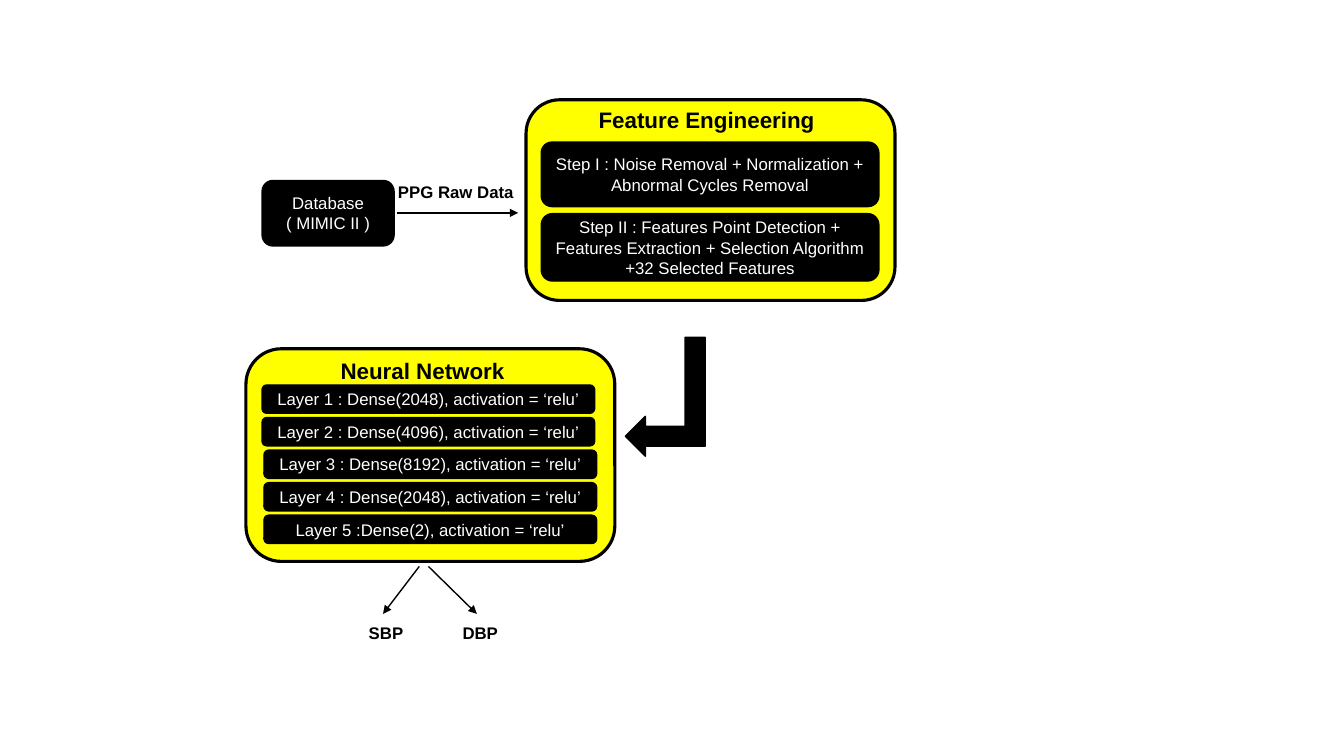
from dataclasses import dataclass

from lxml import etree
from pptx import Presentation
from pptx import util as u
from pptx.dml.color import RGBColor
from pptx.enum import shapes, text
from pptx.oxml.ns import qn

COLOURS = {"ink": "000000", "panel": "FFFF00", "paper": "FFFFFF"}
FONT = "Arial"


@dataclass
class Block:
    left: float
    top: float
    width: float
    height: float
    lines: tuple = ()
    fill: str = "ink"
    border: float = 1
    kind: shapes.MSO_SHAPE = shapes.MSO_SHAPE.ROUNDED_RECTANGLE


@dataclass
class Label:
    left: float
    top: float
    width: float
    height: float
    words: str
    size: float = 12


@dataclass
class Arrow:
    start: tuple
    end: tuple


def colour(name: str) -> RGBColor:
    return RGBColor.from_string(COLOURS[name])


def add_span(para, words: str, size: float, ink: str, bold: bool = False) -> None:
    span = para.add_run()
    span.text = words
    span.font.name = FONT
    span.font.size = u.Pt(size)
    span.font.bold = bold
    span.font.color.rgb = colour(ink)


def draw_block(page, block: Block):
    box = page.shapes.add_shape(block.kind, u.Pt(block.left), u.Pt(block.top),
                                u.Pt(block.width), u.Pt(block.height))
    box.shadow.inherit = False
    box.fill.solid()
    box.fill.fore_color.rgb = colour(block.fill)
    box.line.color.rgb = colour("ink")
    box.line.width = u.Pt(block.border)
    frame = box.text_frame
    frame.word_wrap = True
    frame.vertical_anchor = text.MSO_ANCHOR.MIDDLE
    for index, words in enumerate(block.lines):
        para = frame.add_paragraph() if index else frame.paragraphs[0]
        para.alignment = text.PP_ALIGN.CENTER
        add_span(para, words, 12, "paper")
    return box


def draw_label(page, label: Label) -> None:
    box = page.shapes.add_textbox(u.Pt(label.left), u.Pt(label.top),
                                  u.Pt(label.width), u.Pt(label.height))
    box.text_frame.word_wrap = True
    box.text_frame.auto_size = text.MSO_AUTO_SIZE.SHAPE_TO_FIT_TEXT
    add_span(box.text_frame.paragraphs[0], label.words, label.size, "ink", bold=True)


def draw_arrow(page, arrow: Arrow) -> None:
    points = [u.Pt(value) for value in arrow.start + arrow.end]
    line = page.shapes.add_connector(shapes.MSO_CONNECTOR.STRAIGHT, *points)
    line.line.color.rgb = colour("ink")
    line.line.width = u.Pt(1)
    etree.SubElement(line.line._get_or_add_ln(), qn("a:tailEnd"), type="triangle")
    etree.SubElement(line._element.spPr, qn("a:effectLst"))


# Input and feature engineering
DATABASE = Block(187.2, 128.9, 94.3, 46.8, ("Database", "( MIMIC II )"))
FEATURE_PANEL = Block(375.8, 71.3, 263.5, 143.3, fill="panel", border=2.25)
STEPS = [
    Block(386.6, 101.5, 241.2, 46.1,
          ("Step I : Noise Removal + Normalization + Abnormal Cycles Removal",)),
    Block(386.6, 152.6, 241.2, 48.2,
          ("Step II : Features Point Detection + Features Extraction + "
           "Selection Algorithm +32 Selected Features",)),
]

# Neural network: the last three layers sit slightly to the right
NETWORK_PANEL = Block(175.7, 249.1, 263.5, 151.9, fill="panel", border=2.25)
LAYER_NAMES = ["Layer 1 : Dense(2048)", "Layer 2 : Dense(4096)", "Layer 3 : Dense(8192)",
               "Layer 4 : Dense(2048)", "Layer 5 :Dense(2)"]
LAYERS = [Block(187.2 if row < 2 else 188.6, 275 + 23.25 * row, 237.6, 20.2,
                (f"{name}, activation = ‘relu’",))
          for row, name in enumerate(LAYER_NAMES)]

LABELS = [
    Label(277.2, 126, 97.9, 21.6, "PPG Raw Data"),
    Label(420.5, 72, 172.8, 26.6, "Feature Engineering", 16),
    Label(236.2, 251.3, 139.7, 26.6, "Neural Network", 16),
    Label(256.3, 441.4, 41, 21.6, "SBP"),
    Label(323.3, 441.4, 42.5, 21.6, "DBP"),
]
ARROWS = [
    Arrow((283.7, 152.1), (370.1, 152.1)),
    Arrow((299.5, 404.6), (273.6, 438.5)),
    Arrow((306, 404.6), (340.6, 438.5)),
]
BENT_ARROW = Block(432.7, 254.9, 85, 56.9, kind=shapes.MSO_SHAPE.BENT_UP_ARROW)


def main() -> None:
    deck = Presentation()
    deck.slide_width, deck.slide_height = u.Pt(960), u.Pt(540)
    page = deck.slides.add_slide(deck.slide_layouts[6])

    for block in [DATABASE, FEATURE_PANEL, *STEPS, NETWORK_PANEL, *LAYERS]:
        draw_block(page, block)
    for label in LABELS:
        draw_label(page, label)
    for arrow in ARROWS:
        draw_arrow(page, arrow)

    # Flow from features down into the network
    bend = draw_block(page, BENT_ARROW)
    bend.rotation = 90
    bend._element.spPr.xfrm.set("flipV", "1")

    deck.save("out.pptx")


if __name__ == "__main__":
    main()
